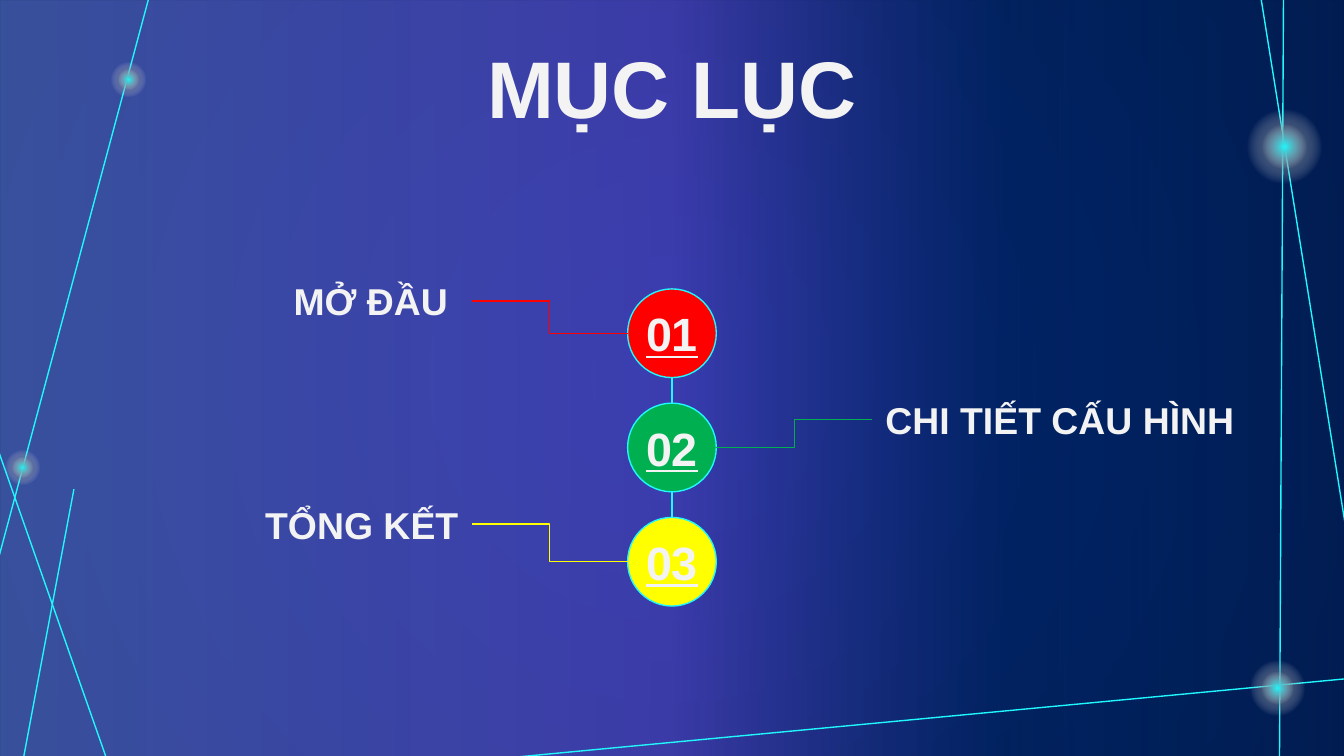
from dataclasses import dataclass
from typing import NamedTuple

from lxml import etree
from pptx import Presentation, util as u
from pptx.dml.color import RGBColor
from pptx.enum import shapes, text
from pptx.oxml.ns import qn


@dataclass(frozen=True)
class Theme:
    font: str = "Arial"
    ink: str = "F3F3F3"
    accent: str = "20F8FD"
    navy: str = "012060"
    night: str = "00183A"
    title_size: float = 43
    number_size: float = 25
    label_size: float = 20
    line_width: float = 0.75


class Stop(NamedTuple):
    position: int
    color: str
    alpha: int = 100


class Line(NamedTuple):
    x1: float
    y1: float
    x2: float
    y2: float


class Glow(NamedTuple):
    x: float
    y: float
    size: float


class Entry(NamedTuple):
    number: str
    label: str
    color: str
    label_y: float
    on_left: bool


T = Theme()
COLUMNS, ROWS = 100, 56.25
CELL = u.Inches(10) // COLUMNS

RAYS = [
    Line(93.8, -0.3, 100.2, 39.7),
    Line(95.5, -0.6, 95.2, 57.3),
    Line(37.7, 56.4, 101.3, 50.4),
    Line(-0.1, 33.6, 8.3, 57.5),
    Line(1.6, 57.2, 5.5, 36.4),
    Line(11.3, -1, -0.1, 41.5),
]
GLOWS = [Glow(95.55, 10.9, 7.9), Glow(95.05, 51.2, 5.8), Glow(1.7, 34.8, 3.7), Glow(9.55, 5.9, 3.7)]
GLOW_CORE = 0.6
OVERLAY = [Stop(0, "748BFF", 49), Stop(50, "7659FF", 50), Stop(75, "022E88", 35), Stop(100, T.navy, 60)]

ENTRIES = [
    Entry("01", "MỞ ĐẦU ", "FF0000", 22.4, True),
    Entry("02", "CHI TIẾT CẤU HÌNH", "00B050", 31.2, False),
    Entry("03", "TỔNG KẾT", "FFFF00", 39, True),
]
CENTER = COLUMNS / 2
DISC, FIRST_Y, PITCH = 6.6, 24.8, 8.5
LEADER = 11.6
LABEL_W, LABEL_H = 29, 5.8


def grid(*cells: float) -> list[int]:
    return [round(c * CELL) for c in cells]


def set_gradient(parent, stops: list[Stop], radial: bool) -> None:
    grad = etree.Element(qn("a:gradFill"), rotWithShape="1")
    stop_list = etree.SubElement(grad, qn("a:gsLst"))
    for stop in stops:
        gs = etree.SubElement(stop_list, qn("a:gs"), pos=str(stop.position * 1000))
        color = etree.SubElement(gs, qn("a:srgbClr"), val=stop.color)
        if stop.alpha < 100:
            etree.SubElement(color, qn("a:alpha"), val=str(stop.alpha * 1000))
    if radial:
        circle = etree.SubElement(grad, qn("a:path"), path="circle")
        etree.SubElement(circle, qn("a:fillToRect"), l="50000", t="50000", r="50000", b="50000")
    else:
        etree.SubElement(grad, qn("a:lin"), ang="0", scaled="0")
    parent.replace(parent.find(qn("a:solidFill")), grad)


def add_filled(s, kind, x: float, y: float, w: float, h: float, color: str):
    sp = s.shapes.add_shape(kind, *grid(x, y, w, h))
    sp.shadow.inherit = False
    sp.fill.solid()
    sp.fill.fore_color.rgb = RGBColor.from_string(color)
    sp.line.fill.background()
    return sp


def add_disc(s, x: float, y: float, size: float, color: str):
    return add_filled(s, shapes.MSO_SHAPE.OVAL, x - size / 2, y - size / 2, size, size, color)


def add_glow(s, glow: Glow) -> None:
    for size, color in ((glow.size, T.night), (glow.size * GLOW_CORE, T.accent)):
        sp = add_disc(s, glow.x, glow.y, size, color)
        set_gradient(sp._element.spPr, [Stop(0, color), Stop(50, T.ink, 0), Stop(100, T.ink, 0)], True)


def set_line(line, color: str) -> None:
    line.color.rgb = RGBColor.from_string(color)
    line.width = u.Pt(T.line_width)


def add_line(s, line: Line, color: str = T.accent, kind=shapes.MSO_CONNECTOR.STRAIGHT) -> None:
    cxn = s.shapes.add_connector(kind, *grid(*line))
    set_line(cxn.line, color)
    etree.SubElement(cxn._element.spPr, qn("a:effectLst"))


def set_text(sp, wording: str, size: float, align, inset: float = 1, underline: bool = False) -> None:
    tf = sp.text_frame
    tf.text = wording
    tf.word_wrap = True
    tf.auto_size = text.MSO_AUTO_SIZE.NONE
    tf.vertical_anchor = text.MSO_ANCHOR.MIDDLE
    tf.margin_left, tf.margin_top, tf.margin_right, tf.margin_bottom = grid(*[inset] * 4)
    p = tf.paragraphs[0]
    p.alignment = align
    p.font.name = T.font
    p.font.size = u.Pt(size)
    p.font.bold = True
    p.font.underline = underline
    p.font.color.rgb = RGBColor.from_string(T.ink)


def add_entry(s, entry: Entry, y: float) -> None:
    disc = add_disc(s, CENTER, y, DISC, entry.color)
    set_line(disc.line, T.accent)
    set_text(disc, entry.number, T.number_size, text.PP_ALIGN.CENTER, inset=0, underline=True)

    side = -1 if entry.on_left else 1
    edge = CENTER + side * DISC / 2
    label_edge = edge + side * LEADER
    add_line(s, Line(edge, y, label_edge, entry.label_y), entry.color, shapes.MSO_CONNECTOR.ELBOW)

    x = label_edge - LABEL_W if entry.on_left else label_edge
    box = s.shapes.add_textbox(*grid(x, entry.label_y - LABEL_H / 2, LABEL_W, LABEL_H))
    align = text.PP_ALIGN.RIGHT if entry.on_left else text.PP_ALIGN.LEFT
    set_text(box, entry.label, T.label_size, align)


def add_backdrop(s) -> None:
    s.background.fill.solid()
    set_gradient(s._element.find(".//" + qn("p:bgPr")), [Stop(0, T.navy), Stop(100, T.night)], True)
    overlay = add_filled(s, shapes.MSO_SHAPE.RECTANGLE, 0, 0, COLUMNS, ROWS, T.navy)
    set_gradient(overlay._element.spPr, OVERLAY, False)
    for ray in RAYS:
        add_line(s, ray)
    for glow in GLOWS:
        add_glow(s, glow)


def add_title(s, wording: str) -> None:
    title = s.shapes.title
    title.left, title.top, title.width, title.height = grid(26.2, 1.8, 47.6, 9.2)
    set_text(title, wording, T.title_size, text.PP_ALIGN.CENTER)
    title._element.getparent().append(title._element)


def main() -> None:
    prs = Presentation()
    prs.slide_width, prs.slide_height = grid(COLUMNS, ROWS)
    s = prs.slides.add_slide(prs.slide_layouts[5])
    add_backdrop(s)
    for i, entry in enumerate(ENTRIES):
        y = FIRST_Y + i * PITCH
        if i:
            add_line(s, Line(CENTER, y - PITCH + DISC / 2, CENTER, y - DISC / 2))
        add_entry(s, entry, y)
    add_title(s, "MỤC LỤC")
    prs.save("out.pptx")


if __name__ == "__main__":
    main()
